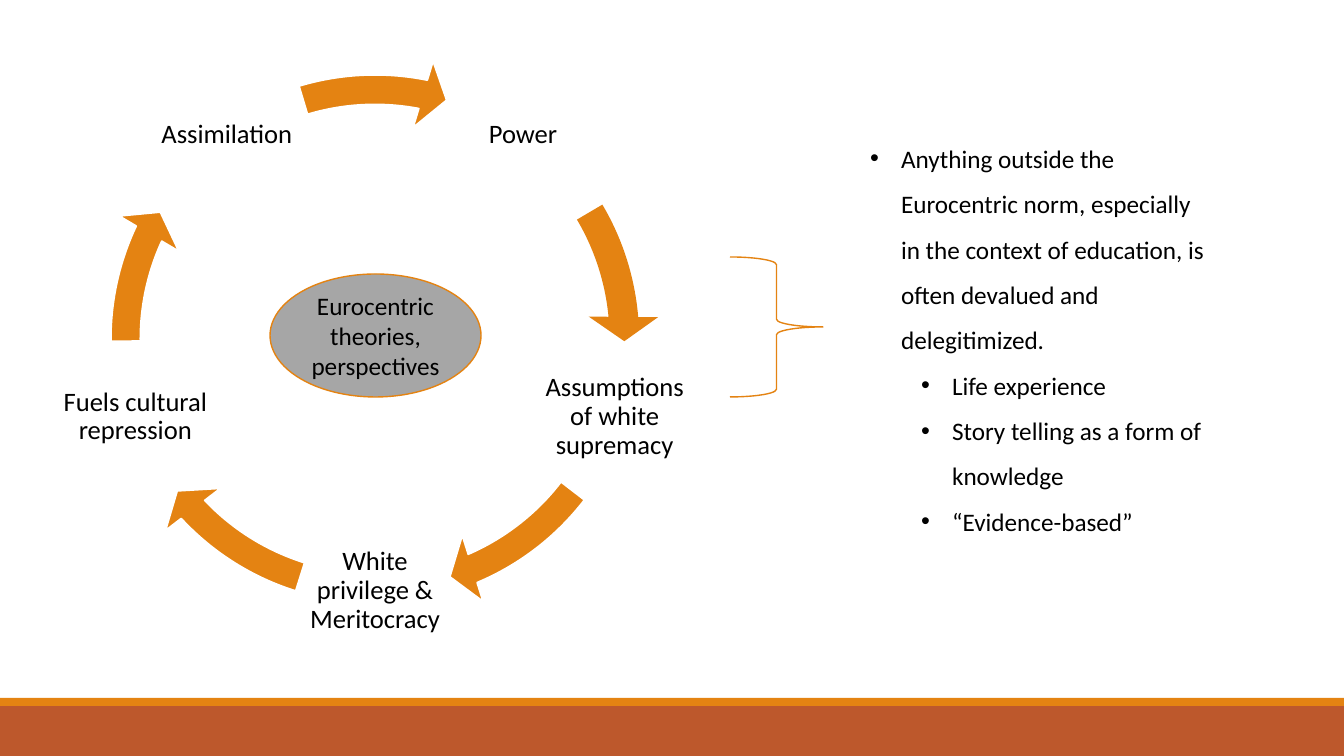
"""Build the slide on the cycle around Eurocentric theories."""
import math

import pptx
import pptx.dml.color
import pptx.enum.shapes
import pptx.enum.text
import pptx.util
from lxml import etree

ORANGE, RUST, GRAY, WHITE, BLACK = "E48312", "BD582C", "A6A6A6", "FFFFFF", "000000"
FONT = "Calibri"
PX = 914400 / 100.8

CENTER = (375, 339)
LABEL_RADIUS, LABEL_SIZE = 252, 151
RING_SIZE = 568
STEPS = [
    ("Power", 212.95, 197.65, None),
    ("Assumptions of white supremacy", 40.16, 22.52, WHITE),
    ("White privilege & Meritocracy", 82.13, 64.48, WHITE),
    ("Fuels cultural repression", 123, 107.7, WHITE),
    ("Assimilation", 168.67, 151.97, WHITE),
]
HUB = "Eurocentric theories, perspectives"
POINTS = [
    (0, "Anything outside the Eurocentric norm, especially in the context of "
        "education, is often devalued and delegitimized."),
    (1, "Life experience"),
    (1, "Story telling as a form of knowledge"),
    (1, "“Evidence-based”"),
]
INDENTS = [31, 82]
HANGING = 31
BARS = [((0, 706, 1344, 50), RUST), ((0, 698, 1344, 8), ORANGE)]
POINT_FORMAT = {"line_spacing": 1.5, "space_before": 0, "space_after": 0}
LABEL_FORMAT = {"line_spacing": 0.9, "alignment": pptx.enum.text.PP_ALIGN.CENTER}
HUB_FORMAT = {"alignment": pptx.enum.text.PP_ALIGN.CENTER}
KIND = pptx.enum.shapes.MSO_SHAPE


def px(n):
    return pptx.util.Emu(round(n * PX))


def rgb(code):
    return pptx.dml.color.RGBColor.from_string(code)


def set_all(obj, values):
    for name, value in values.items():
        setattr(obj, name, value)


def add_shape(shapes, kind, box, fill=None, line=None, width=1):
    s = shapes.add_shape(kind, *map(px, box))
    s.shadow.inherit = False
    for part, color in ((s.fill, fill), (s.line.fill, line)):
        if color:
            part.solid()
            part.fore_color.rgb = rgb(color)
        else:
            part.background()
    if line:
        s.line.width = pptx.util.Pt(width)
    return s


def write(p, text, size, values):
    set_all(p, values)
    r = p.add_run()
    r.text = text
    set_all(r.font, {"name": FONT, "size": pptx.util.Pt(size)})
    r.font.color.rgb = rgb(BLACK)


def add_label(shapes, text, x, y):
    half = LABEL_SIZE / 2
    s = shapes.add_textbox(*map(px, (x - half, y - half, LABEL_SIZE, LABEL_SIZE)))
    tf = s.text_frame
    set_all(tf, {"word_wrap": True, "vertical_anchor": pptx.enum.text.MSO_ANCHOR.MIDDLE})
    set_all(tf, {"margin_" + side: px(3) for side in ("left", "top", "right", "bottom")})
    write(tf.paragraphs[0], text, 19, LABEL_FORMAT)


def add_cycle(shapes):
    cx, cy = CENTER
    ring = (cx - RING_SIZE / 2, cy - RING_SIZE / 2, RING_SIZE, RING_SIZE)
    group = shapes.add_group_shape().shapes
    for i, (text, end, start, line) in enumerate(STEPS):
        angle = math.radians(72 * i - 54)
        add_label(group, text, cx + LABEL_RADIUS * math.cos(angle),
                  cy + LABEL_RADIUS * math.sin(angle))
        s = add_shape(group, KIND.CIRCULAR_ARROW, ring, ORANGE, line, 1.25)
        for j, value in enumerate((0.052, 3.355, end, start, 0.061)):
            s.adjustments[j] = value


def add_points(body):
    set_all(body, dict(zip(("left", "top", "width", "height"), map(px, (860, 123, 358, 499)))))
    tf = body.text_frame
    set_all(tf, {"word_wrap": True, "auto_size": pptx.enum.text.MSO_AUTO_SIZE.SHAPE_TO_FIT_TEXT,
                 "vertical_anchor": pptx.enum.text.MSO_ANCHOR.TOP})
    for i, (level, text) in enumerate(POINTS):
        p = tf.add_paragraph() if i else tf.paragraphs[0]
        write(p, text, 18, {"level": level, **POINT_FORMAT})
        props = p._p.get_or_add_pPr()
        props.set("marL", str(px(INDENTS[level])))
        props.set("indent", str(-px(HANGING)))
        ns = "{http://schemas.openxmlformats.org/drawingml/2006/main}"
        etree.SubElement(props, ns + "buFont", typeface="Arial")
        etree.SubElement(props, ns + "buChar", char="•")


def main():
    prs = pptx.Presentation()
    set_all(prs, {"slide_width": px(1344), "slide_height": px(756)})
    slide = prs.slides.add_slide(prs.slide_layouts[1])
    shapes = slide.shapes
    title = shapes.title._element
    title.getparent().remove(title)
    for box, color in BARS:
        add_shape(shapes, KIND.RECTANGLE, box, color)
    hub = add_shape(shapes, KIND.OVAL, (270, 274, 211, 123), GRAY, ORANGE)
    set_all(hub.text_frame, {"word_wrap": True,
                             "vertical_anchor": pptx.enum.text.MSO_ANCHOR.MIDDLE})
    write(hub.text_frame.paragraphs[0], HUB, 18, HUB_FORMAT)
    add_cycle(shapes)
    add_shape(shapes, KIND.RIGHT_BRACE, (730, 257, 93, 140), None, ORANGE)
    add_points(slide.placeholders[1])
    prs.save("out.pptx")


if __name__ == "__main__":
    main()
